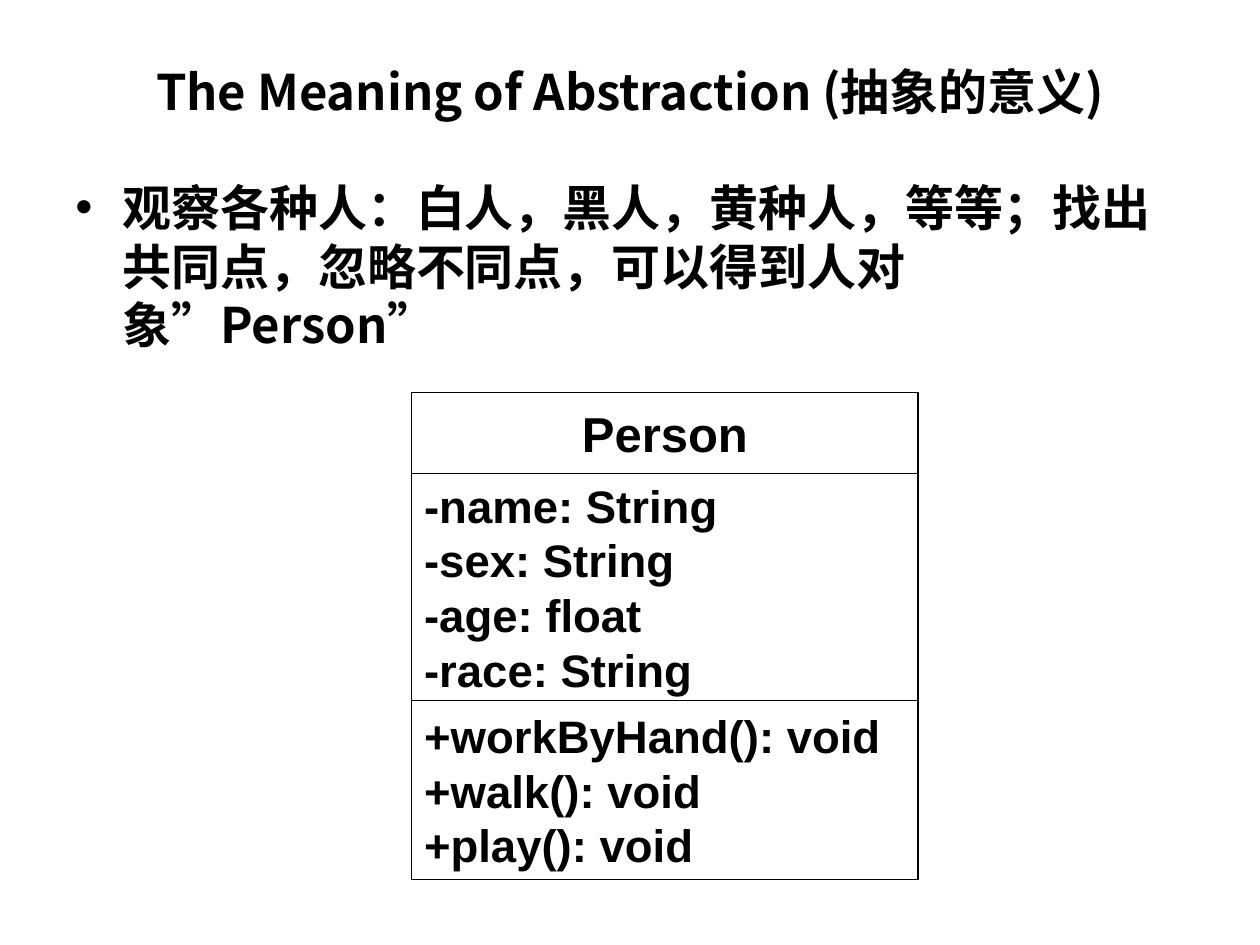
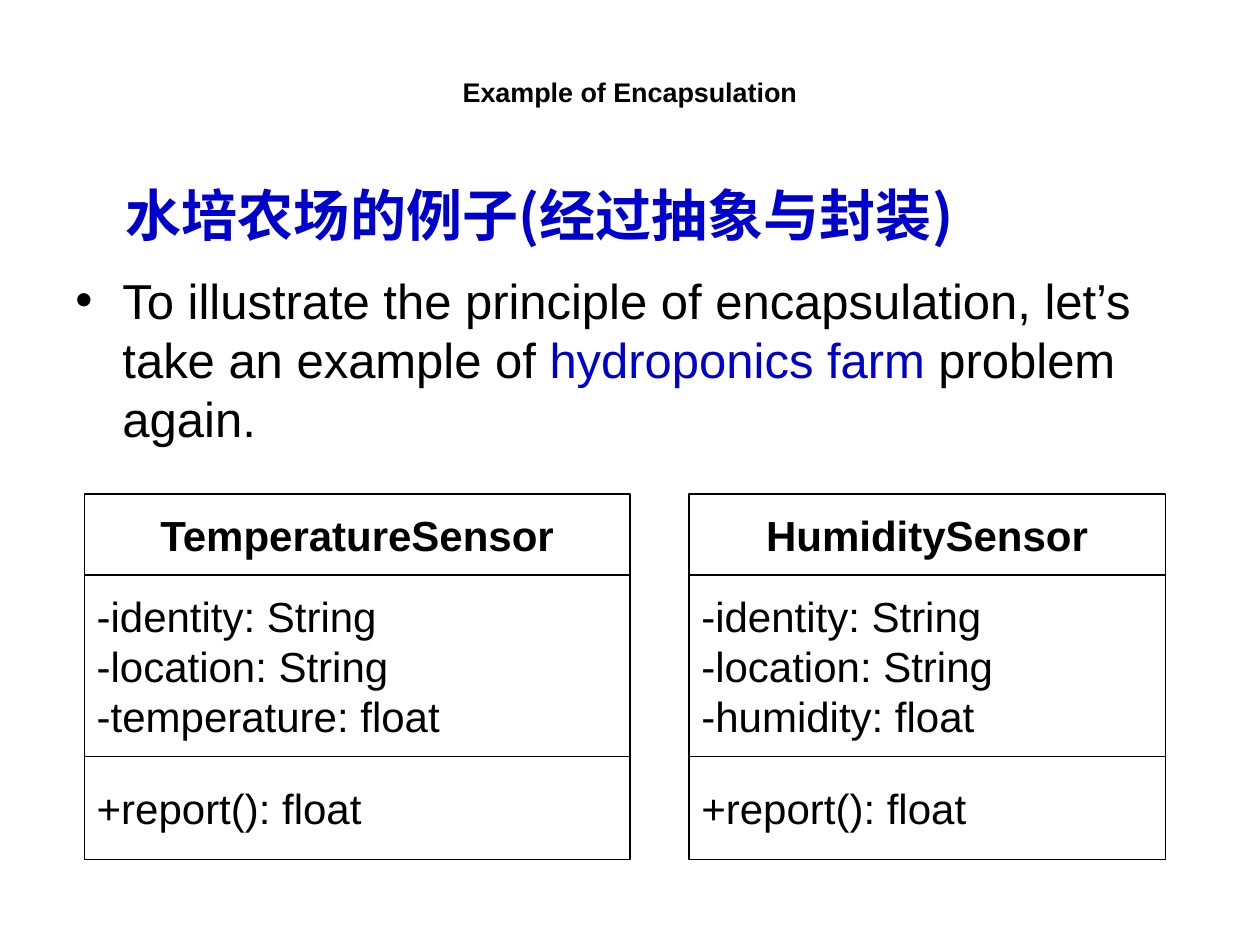
import dataclasses

import pptx
import pptx.dml.color
import pptx.enum.shapes
import pptx.enum.text
import pptx.oxml
import pptx.oxml.ns
import pptx.util

Cm = pptx.util.Cm
Pt = pptx.util.Pt
ALIGN = pptx.enum.text.PP_ALIGN
ANCHOR = pptx.enum.text.MSO_ANCHOR


@dataclasses.dataclass(frozen=True)
class Theme:
    black: str = "000000"
    white: str = "FFFFFF"
    blue: str = "0000CC"
    latin: str = "Arial"
    chinese: str = "Noto Sans CJK SC"
    body_size: float = 28
    small_title_size: float = 15.4
    subtitle_size: float = 32
    member_size: float = 26
    sensor_size: float = 24
    line_width: float = 0.75


THEME = Theme()
TEXT_LEFT, TEXT_WIDTH = 1.27, 22.86
BULLET_INDENT = 0.95
NAME_HEIGHT = 1.63


def color(value):
    return pptx.dml.color.RGBColor.from_string(value)


def apply_format(target, values):
    for name, value in values.items():
        setattr(target, name, value)


# Text
def add_run(paragraph, text, size, font=THEME.latin, fill=THEME.black, bold=False):
    run = paragraph.add_run()
    run.text = text
    apply_format(run.font, {"size": Pt(size), "name": font, "bold": bold})
    run.font.color.rgb = color(fill)
    properties = run._r.get_or_add_rPr()
    east_asian = pptx.oxml.parse_xml(
        f'<a:ea {pptx.oxml.ns.nsdecls("a")} typeface="{THEME.chinese}"/>')
    properties.find(pptx.oxml.ns.qn("a:latin")).addnext(east_asian)


def add_text_box(slide, top, height, left=TEXT_LEFT, width=TEXT_WIDTH, anchor=ANCHOR.TOP):
    box = slide.shapes.add_textbox(Cm(left), Cm(top), Cm(width), Cm(height))
    apply_format(box.text_frame, {"word_wrap": True, "vertical_anchor": anchor})
    return box.text_frame.paragraphs[0]


def add_title(slide, text, top, height, size, font):
    paragraph = add_text_box(slide, top, height, anchor=ANCHOR.MIDDLE)
    paragraph.alignment = ALIGN.CENTER
    add_run(paragraph, text, size, font, bold=True)


def add_bullet(slide, top, height):
    paragraph = add_text_box(slide, top, height)
    properties = paragraph._p.get_or_add_pPr()
    properties.set("marL", str(Cm(BULLET_INDENT)))
    properties.set("indent", str(-Cm(BULLET_INDENT)))
    for tag, attribute in (("buFont", f'typeface="{THEME.latin}"'), ("buChar", 'char="•"')):
        properties.append(pptx.oxml.parse_xml(
            f'<a:{tag} {pptx.oxml.ns.nsdecls("a")} {attribute}/>'))
    return paragraph


# Class diagrams
def add_compartment(slide, left, top, width, height, lines, size, bold, alignment):
    shape = slide.shapes.add_shape(
        pptx.enum.shapes.MSO_SHAPE.RECTANGLE, Cm(left), Cm(top), Cm(width), Cm(height))
    shape.shadow.inherit = False
    shape.fill.solid()
    shape.fill.fore_color.rgb = color(THEME.white)
    shape.line.color.rgb = color(THEME.black)
    shape.line.width = Pt(THEME.line_width)
    frame = shape.text_frame
    apply_format(frame, {"word_wrap": False, "vertical_anchor": ANCHOR.MIDDLE})
    for index, line in enumerate(lines):
        paragraph = frame.add_paragraph() if index else frame.paragraphs[0]
        paragraph.alignment = alignment
        add_run(paragraph, line, size, bold=bold)


def add_class(slide, left, top, width, name, sections, name_size, size, bold=False):
    add_compartment(slide, left, top, width, NAME_HEIGHT, [name], name_size, True, ALIGN.CENTER)
    top += NAME_HEIGHT
    for height, members in sections:
        add_compartment(slide, left, top, width, height, members, size, bold, ALIGN.LEFT)
        top += height


# Slides
def build_abstraction(slide):
    add_title(slide, "The Meaning of Abstraction (抽象的意义)", 0.76, 2.16,
              THEME.body_size, THEME.chinese)
    bullet = add_bullet(slide, 3.45, 3.89)
    add_run(bullet, "观察各种人：白人，黑人，黄种人，等等；找出共同点，忽略不同点，可以得到人对象”Person”",
            THEME.body_size, THEME.chinese, bold=True)
    attributes = ["-name: String", "-sex: String", "-age: float", "-race: String"]
    methods = ["+workByHand(): void", "+walk(): void", "+play(): void"]
    add_class(slide, 8.3, 7.92, 10.21, "Person", [(4.57, attributes), (3.61, methods)],
              THEME.body_size, THEME.member_size, bold=True)


def build_encapsulation(slide):
    add_title(slide, "Example of Encapsulation", 1.37, 0.97, THEME.small_title_size, THEME.latin)
    subtitle = add_text_box(slide, 3.51, 1.63, left=2.29, width=20.6)
    add_run(subtitle, "水培农场的例子(经过抽象与封装)", THEME.subtitle_size,
            THEME.chinese, THEME.blue, bold=True)
    bullet = add_bullet(slide, 5.33, 4.01)
    for text, fill in (
            ("To illustrate the principle of encapsulation, let’s take an example of ", THEME.black),
            ("hydroponics farm ", THEME.blue),
            ("problem again.", THEME.black)):
        add_run(bullet, text, THEME.body_size, fill=fill)
    for name, reading, left, width in (
            ("TemperatureSensor", "temperature", 1.7, 11),
            ("HumiditySensor", "humidity", 13.89, 9.6)):
        attributes = ["-identity: String", "-location: String", f"-{reading}: float"]
        add_class(slide, left, 9.96, width, name,
                  [(3.66, attributes), (2.08, ["+report(): float"])],
                  THEME.sensor_size, THEME.sensor_size)


def main():
    presentation = pptx.Presentation()
    apply_format(presentation, {"slide_width": Cm(25.4), "slide_height": Cm(19.05)})
    blank_layout = presentation.slide_layouts[6]
    for build in (build_abstraction, build_encapsulation):
        build(presentation.slides.add_slide(blank_layout))
    presentation.save("out.pptx")


if __name__ == "__main__":
    main()
